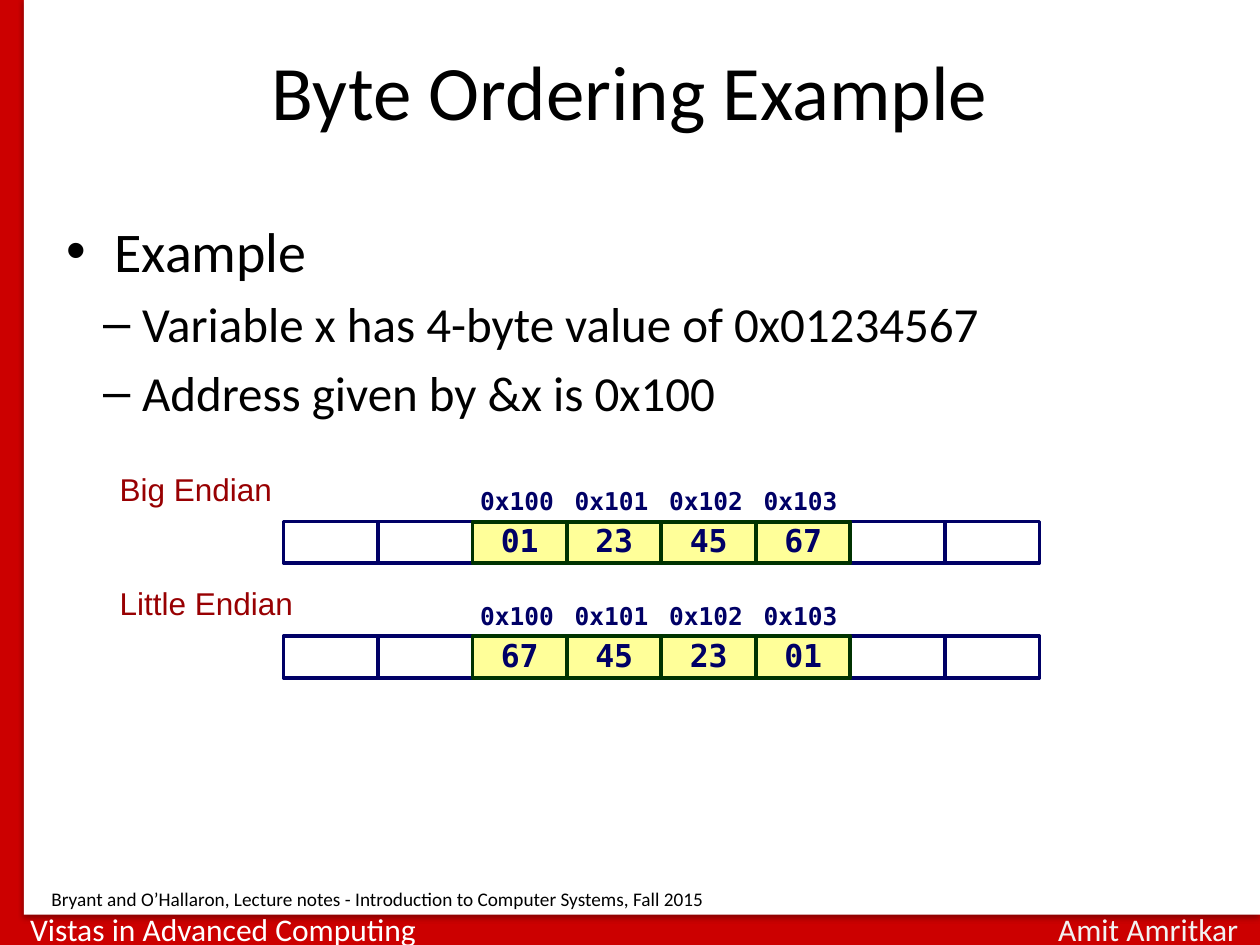
from lxml import etree
from pptx import Presentation
from pptx.dml.color import RGBColor as Rgb
from pptx.enum.shapes import MSO_SHAPE as Shape
from pptx.enum.text import MSO_ANCHOR as Anchor, PP_ALIGN as Align
from pptx.oxml.ns import qn
from pptx.util import Inches, Pt

COLORS = {
    "red": "CC0000", "white": "FFFFFF", "pale": "F2F2F2", "black": "000000",
    "navy": "000066", "green": "003300", "yellow": "FFFF99", "label": "980002",
}
MONO = "DejaVu Sans Mono"
WIDE = (0.1, 0.05, 0.1, 0.05)
TIGHT = (0.06, 0.06, 0.06, 0.06)
SLIM = (0.03, 0.03, 0.07, 0.03)
CELL_W, CELL_H = 0.75, 0.33
ROW_X, DATA_X = 2.25, 3.75


def color(name):
    return Rgb.from_string(COLORS[name])


def write(para, text, size=18, font="Calibri", ink="black", bold=False,
          align=Align.LEFT, before=0, lines=None, bullet=None, left=0, hang=0):
    run = para.add_run()
    run.text = text
    run.font.size = Pt(size)
    run.font.name = font
    run.font.bold = bold
    run.font.color.rgb = color(ink)
    para.alignment = align
    para.space_before = Pt(before)
    if lines:
        para.line_spacing = lines
    if bullet:
        props = para._p.get_or_add_pPr()
        props.set("marL", str(Inches(left)))
        props.set("indent", str(-Inches(hang)))
        etree.SubElement(props, qn("a:buFont")).set("typeface", "Arial")
        etree.SubElement(props, qn("a:buChar")).set("char", bullet)


class Deck:
    def __init__(self):
        self.show = Presentation()
        self.show.slide_width, self.show.slide_height = Inches(10), Inches(7.5)
        self.slide = self.show.slides.add_slide(self.show.slide_layouts[6])
        back = self.slide.background.fill
        back.solid()
        back.fore_color.rgb = color("red")

    def frame(self, shape, pad, anchor):
        frame = shape.text_frame
        frame.word_wrap = True
        frame.vertical_anchor = anchor
        (frame.margin_left, frame.margin_top,
         frame.margin_right, frame.margin_bottom) = map(Inches, pad)
        return frame

    def box(self, x, y, w, h, fill, line=None, width=2):
        box = self.slide.shapes.add_shape(Shape.RECTANGLE, *map(Inches, (x, y, w, h)))
        box.shadow.inherit = False
        box.fill.solid()
        box.fill.fore_color.rgb = color(fill)
        if line:
            box.line.color.rgb = color(line)
            box.line.width = Pt(width)
        else:
            box.line.fill.background()
        return box

    def panel(self, *place):
        effects = self.box(*place, "white")._element.spPr.find(qn("a:effectLst"))
        glow = etree.SubElement(effects, qn("a:outerShdw"), blurRad=str(Pt(3.1)),
                                dist=str(Pt(1.8)), dir="5400000", rotWithShape="0")
        tint = etree.SubElement(glow, qn("a:srgbClr"), val=COLORS["black"])
        etree.SubElement(tint, qn("a:alpha"), val="35000")

    def text(self, x, y, w, h, text, pad=WIDE, anchor=Anchor.TOP, **style):
        box = self.slide.shapes.add_textbox(*map(Inches, (x, y, w, h)))
        write(self.frame(box, pad, anchor).paragraphs[0], text, **style)

    def bullets(self, x, y, w, h, items):
        box = self.slide.shapes.add_textbox(*map(Inches, (x, y, w, h)))
        frame = self.frame(box, WIDE, Anchor.TOP)
        for i, (level, text) in enumerate(items):
            para = frame.add_paragraph() if i else frame.paragraphs[0]
            para.level = level
            if level:
                write(para, text, size=28, before=5.6, bullet="–", left=0.6, hang=0.31)
            else:
                write(para, text, size=32, bullet="•", left=0.38, hang=0.38)

    def memory(self, y, label, data):
        self.text(0.92, y - 0.42, 1.96, 0.36, label, pad=SLIM, font="Arial",
                  ink="label", lines=0.95)
        for i in (0, 1, 6, 7):
            self.box(ROW_X + i * CELL_W, y, CELL_W, CELL_H, "white", "navy")
        for i, value in enumerate(data):
            x = DATA_X + i * CELL_W
            self.text(x, y - CELL_H, CELL_W, CELL_H, f"0x{0x100 + i:x}", pad=TIGHT,
                      anchor=Anchor.MIDDLE, size=14, font=MONO, ink="navy", bold=True)
            cell = self.box(x, y, CELL_W, CELL_H, "yellow", "green", 2.25)
            frame = self.frame(cell, TIGHT, Anchor.MIDDLE)
            write(frame.paragraphs[0], value, font=MONO, ink="navy", bold=True,
                  align=Align.CENTER, lines=0.9)


def main():
    deck = Deck()
    deck.panel(0.19, -0.01, 9.81, 7.27)
    deck.text(0.14, 7.17, 3.3, 0.4, "Vistas in Advanced Computing", ink="white")
    deck.text(8.3, 7.17, 1.7, 0.4, "Amit Amritkar", ink="pale")
    deck.text(0.5, 0.3, 9, 1.25, "Byte Ordering Example", size=44, align=Align.CENTER)
    deck.bullets(0.43, 1.67, 8.64, 5.26, [
        (0, "Example"),
        (1, "Variable x has 4-byte value of 0x01234567"),
        (1, "Address given by &x is 0x100"),
    ])
    order = ["01", "23", "45", "67"]
    deck.memory(4.14, "Big Endian", order)
    deck.memory(5.05, "Little Endian", order[::-1])
    deck.text(0.31, 6.99, 9.38, 0.29,
              "Bryant and O’Hallaron, Lecture notes - Introduction to Computer Systems, Fall 2015",
              size=11)
    deck.show.save("out.pptx")


if __name__ == "__main__":
    main()
